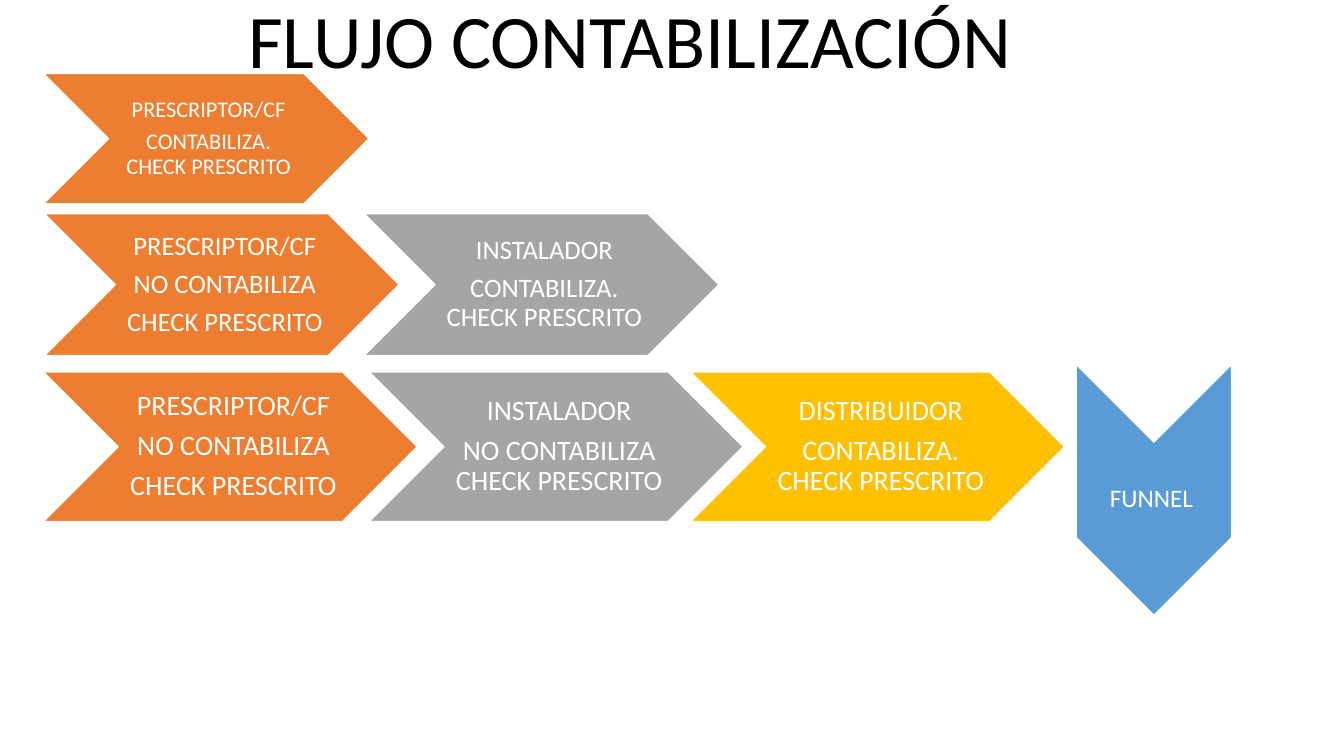
from pptx import Presentation
from pptx.dml.color import RGBColor
from pptx.enum.shapes import MSO_SHAPE
from pptx.enum.text import MSO_ANCHOR, MSO_AUTO_SIZE, PP_ALIGN
from pptx.util import Inches, Pt

ORANGE = RGBColor(0xED, 0x7D, 0x31)
GRAY = RGBColor(0xA5, 0xA5, 0xA5)
YELLOW = RGBColor(0xFF, 0xC0, 0x00)
BLUE = RGBColor(0x5B, 0x9B, 0xD5)
WHITE = RGBColor(0xFF, 0xFF, 0xFF)
BLACK = RGBColor(0x00, 0x00, 0x00)
FONT = "Calibri"

TITLE = "FLUJO CONTABILIZACIÓN"
FUNNEL = "FUNNEL"
YES = ["CONTABILIZA. CHECK PRESCRITO"]
NO = ["NO CONTABILIZA", "CHECK PRESCRITO"]
PRESCRIBER = "PRESCRIPTOR/CF"
INSTALLER = "INSTALADOR"

# Each flow: top, chevron width, text size, steps of (left, colour, paragraphs)
FLOWS = [
    (0.73, 3.23, 16, [(0.43, ORANGE, [PRESCRIBER, *YES])]),
    (2.12, 3.52, 19, [(0.44, ORANGE, [PRESCRIBER, *NO]),
                      (3.61, GRAY, [INSTALLER, *YES])]),
    (3.69, 3.71, 20, [(0.43, ORANGE, [PRESCRIBER, *NO]),
                      (3.66, GRAY, [INSTALLER, " ".join(NO)]),
                      (6.85, YELLOW, ["DISTRIBUIDOR", *YES])]),
]
CHEVRON_RATIO = 0.4  # height over width


def add_chevron(s, left, top, width, height, color):
    """Add a filled chevron with a thin white outline."""
    sp = s.shapes.add_shape(MSO_SHAPE.CHEVRON, Inches(left), Inches(top),
                            Inches(width), Inches(height))
    sp.shadow.inherit = False
    sp.fill.solid()
    sp.fill.fore_color.rgb = color
    sp.line.color.rgb = WHITE
    sp.line.width = Pt(1)
    return sp


def format_text(p, size, color):
    """Set font, size and colour on the runs of a paragraph."""
    for r in p.runs:
        r.font.name = FONT
        r.font.size = Pt(size)
        r.font.color.rgb = color


def fill_step(sp, lines, size):
    """Write the centred lines of a step, with spacing tied to text size."""
    tf = sp.text_frame
    tf.word_wrap = True
    tf.vertical_anchor = MSO_ANCHOR.MIDDLE
    tf.margin_left = Pt(size / 3)
    tf.margin_top = tf.margin_right = tf.margin_bottom = Pt(size / 9)
    tf.text = "\n".join(lines)
    for p in tf.paragraphs:
        p.alignment = PP_ALIGN.CENTER
        p.line_spacing = 0.9
        p.space_after = Pt(0.35 * size)
        format_text(p, size, WHITE)


prs = Presentation()
prs.slide_width, prs.slide_height = Inches(13.33), Inches(7.5)
s = prs.slides.add_slide(prs.slide_layouts[0])
subtitle = s.placeholders[1].element
subtitle.getparent().remove(subtitle)

title = s.shapes.title
title.left, title.top = Inches(1.25), Inches(0.08)
title.width, title.height = Inches(10), Inches(0.81)
tf = title.text_frame
tf.text = TITLE
tf.auto_size = MSO_AUTO_SIZE.NONE
tf.vertical_anchor = MSO_ANCHOR.BOTTOM
p = tf.paragraphs[0]
p.alignment = PP_ALIGN.CENTER
p.line_spacing = 0.9
format_text(p, 54, BLACK)

for top, width, size, steps in FLOWS:
    for left, color, lines in steps:
        step = add_chevron(s, left, top, width, width * CHEVRON_RATIO, color)
        fill_step(step, lines, size)

funnel = add_chevron(s, 10.2, 4.09, 2.49, 1.54, BLUE)
funnel.rotation = 90
label = s.shapes.add_textbox(Inches(10.91), Inches(4.74), Inches(1.03), Inches(0.4))
tf = label.text_frame
tf.word_wrap = False
tf.auto_size = MSO_AUTO_SIZE.SHAPE_TO_FIT_TEXT
tf.text = FUNNEL
format_text(tf.paragraphs[0], 18, WHITE)

prs.save("out.pptx")
